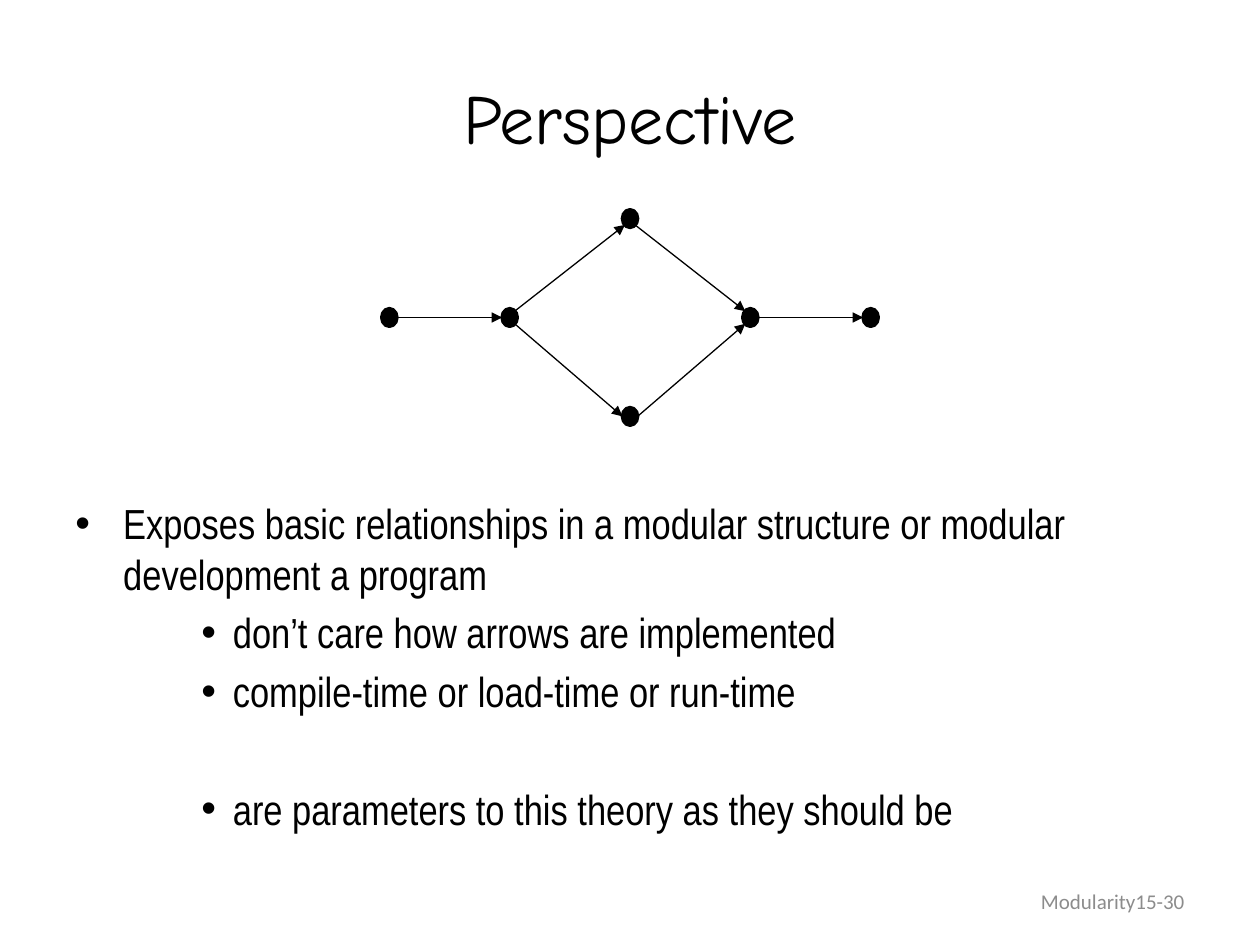
import pptx
import pptx.util
import pptx.dml.color
import pptx.enum.shapes
import pptx.enum.text
import pptx.oxml
import pptx.oxml.ns
from pptx.util import Inches

THEME = {
    "ink": "000000", "muted": "8C8C8C",
    "title_font": "Comic Neue", "body_font": "Arial Narrow", "footer_font": "Calibri",
    "title_size": 40, "body_size": 24, "footer_size": 12,
    "node_line": 2, "arrow_line": 0.75,
}
ALIGN = pptx.enum.text.PP_ALIGN
ANCHOR = pptx.enum.text.MSO_ANCHOR

TITLE = "Perspective"
FOOTER = "Modularity15-30"
MAIN, DETAIL = (0, 0.38, 0.38), (2, 1.25, 0.25)
SMALL_GAP, WIDE_GAP = 4.8, 38.4
POINTS = [
    ("Exposes basic relationships in a modular structure or modular development a program", MAIN, SMALL_GAP),
    ("don’t care how arrows are implemented", DETAIL, SMALL_GAP),
    ("compile-time or load-time or run-time", DETAIL, SMALL_GAP),
    ("are parameters to this theory as they should be", DETAIL, WIDE_GAP),
]

NODE_WIDTH, NODE_HEIGHT = 0.12, 0.14
CENTER_X, CENTER_Y, STEP_X, STEP_Y = 5, 2.52, 0.955, 0.785
NODES = {
    "start": (-2, 0), "fork": (-1, 0), "upper": (0, -1),
    "lower": (0, 1), "join": (1, 0), "end": (2, 0),
}
SIDES = {
    "left": (-0.06, 0), "right": (0.06, 0),
    "upper left": (-0.04, -0.05), "upper right": (0.04, -0.05),
    "lower left": (-0.04, 0.05), "lower right": (0.04, 0.05),
}
ARROWS = [
    ("start", "right", "fork", "left"),
    ("fork", "upper right", "upper", "lower left"),
    ("fork", "lower right", "lower", "left"),
    ("upper", "lower right", "join", "upper left"),
    ("lower", "right", "join", "lower left"),
    ("join", "right", "end", "left"),
]


def color(name):
    return pptx.dml.color.RGBColor.from_string(THEME[name])


def add_xml(parent, tag, **attributes):
    element = pptx.oxml.parse_xml(f"<a:{tag} {pptx.oxml.ns.nsdecls('a')}/>")
    for name, value in attributes.items():
        element.set(name, str(value))
    parent.append(element)


def write(para, text, role="body", ink="ink", align=ALIGN.LEFT, bullet=None, gap=0):
    para.alignment = align
    para.space_before = pptx.util.Pt(gap)
    if bullet:
        level, margin, hanging = bullet
        para.level = level
        properties = para._p.get_or_add_pPr()
        properties.set("marL", str(Inches(margin)))
        properties.set("indent", str(-Inches(hanging)))
        add_xml(properties, "buFont", typeface="Arial")
        add_xml(properties, "buChar", char="•")
    span = para.add_run()
    span.text = text
    span.font.name = THEME[role + "_font"]
    span.font.size = pptx.util.Pt(THEME[role + "_size"])
    span.font.color.rgb = color(ink)


def add_box(page, left, top, width, height, anchor=ANCHOR.MIDDLE):
    box = page.shapes.add_textbox(Inches(left), Inches(top), Inches(width), Inches(height))
    frame = box.text_frame
    frame.word_wrap = True
    frame.vertical_anchor = anchor
    return frame


def node_center(name):
    column, row = NODES[name]
    return CENTER_X + column * STEP_X, CENTER_Y + row * STEP_Y


def node_edge(name, side):
    return [Inches(center + shift) for center, shift in zip(node_center(name), SIDES[side])]


def add_node(group, name):
    x, y = node_center(name)
    node = group.shapes.add_shape(
        pptx.enum.shapes.MSO_SHAPE.OVAL,
        Inches(x - NODE_WIDTH / 2), Inches(y - NODE_HEIGHT / 2),
        Inches(NODE_WIDTH), Inches(NODE_HEIGHT))
    node.shadow.inherit = False
    node.fill.solid()
    node.fill.fore_color.rgb = color("ink")
    node.line.color.rgb = color("ink")
    node.line.width = pptx.util.Pt(THEME["node_line"])


def add_arrow(group, source, exit_side, target, entry_side):
    arrow = group.shapes.add_connector(
        pptx.enum.shapes.MSO_CONNECTOR.STRAIGHT,
        *node_edge(source, exit_side), *node_edge(target, entry_side))
    arrow.line.color.rgb = color("ink")
    arrow.line.width = pptx.util.Pt(THEME["arrow_line"])
    add_xml(arrow.line._get_or_add_ln(), "tailEnd", type="triangle")
    add_xml(arrow._element.spPr, "effectLst")


def main():
    deck = pptx.Presentation()
    deck.slide_width, deck.slide_height = Inches(10), Inches(7.5)
    page = deck.slides.add_slide(deck.slide_layouts[6])

    title = add_box(page, 0.5, 0.3, 9, 1.25)
    write(title.paragraphs[0], TITLE, role="title", align=ALIGN.CENTER)

    body = add_box(page, 0.5, 3.9, 9, 3.18, anchor=ANCHOR.TOP)
    for index, (text, bullet, gap) in enumerate(POINTS):
        para = body.add_paragraph() if index else body.paragraphs[0]
        write(para, text, bullet=bullet, gap=gap)

    diagram = page.shapes.add_group_shape()
    for name in NODES:
        add_node(diagram, name)
    for arrow in ARROWS:
        add_arrow(diagram, *arrow)

    footer = add_box(page, 7.17, 6.95, 2.33, 0.4)
    write(footer.paragraphs[0], FOOTER, role="footer", ink="muted", align=ALIGN.RIGHT)

    deck.save("out.pptx")


if __name__ == "__main__":
    main()
